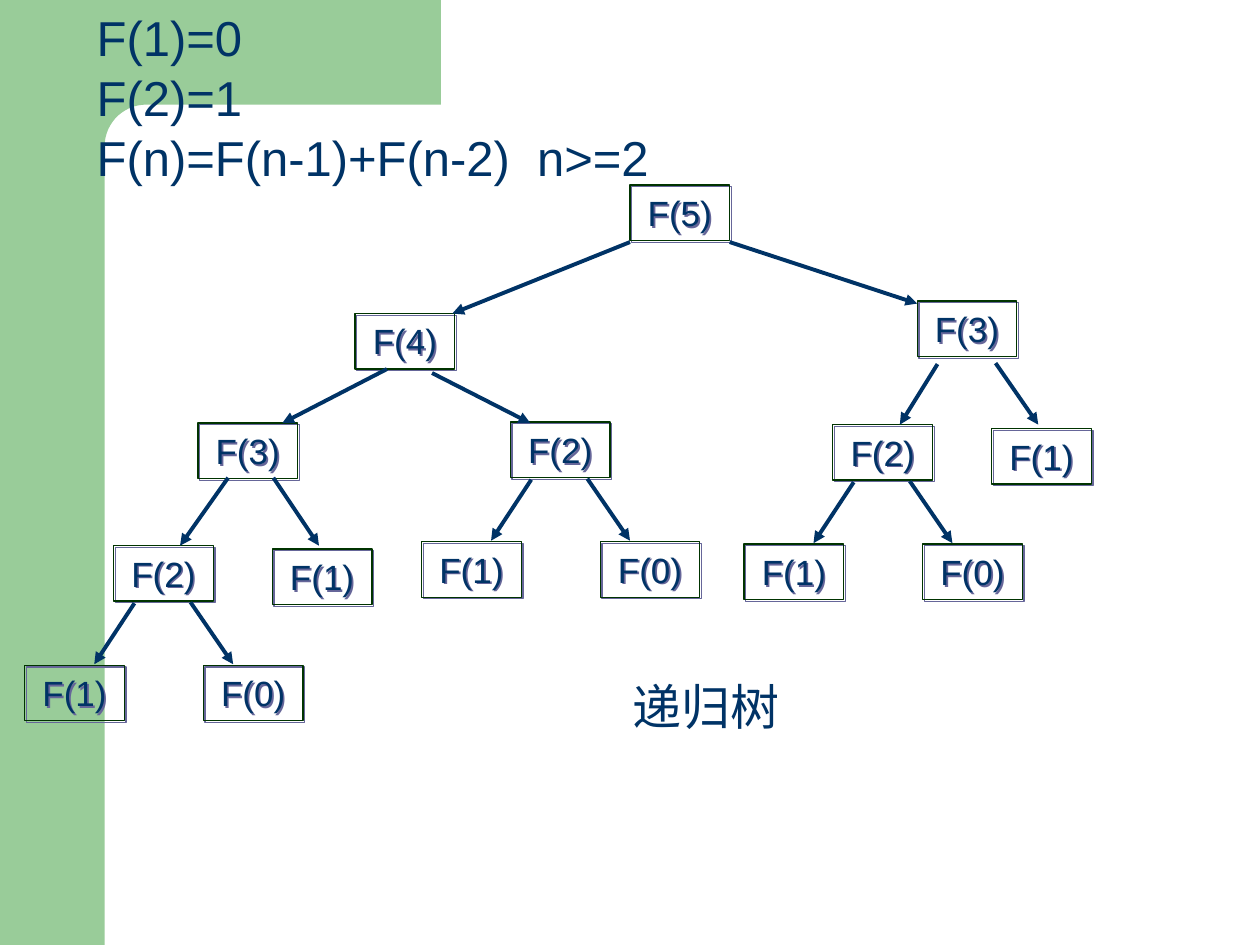
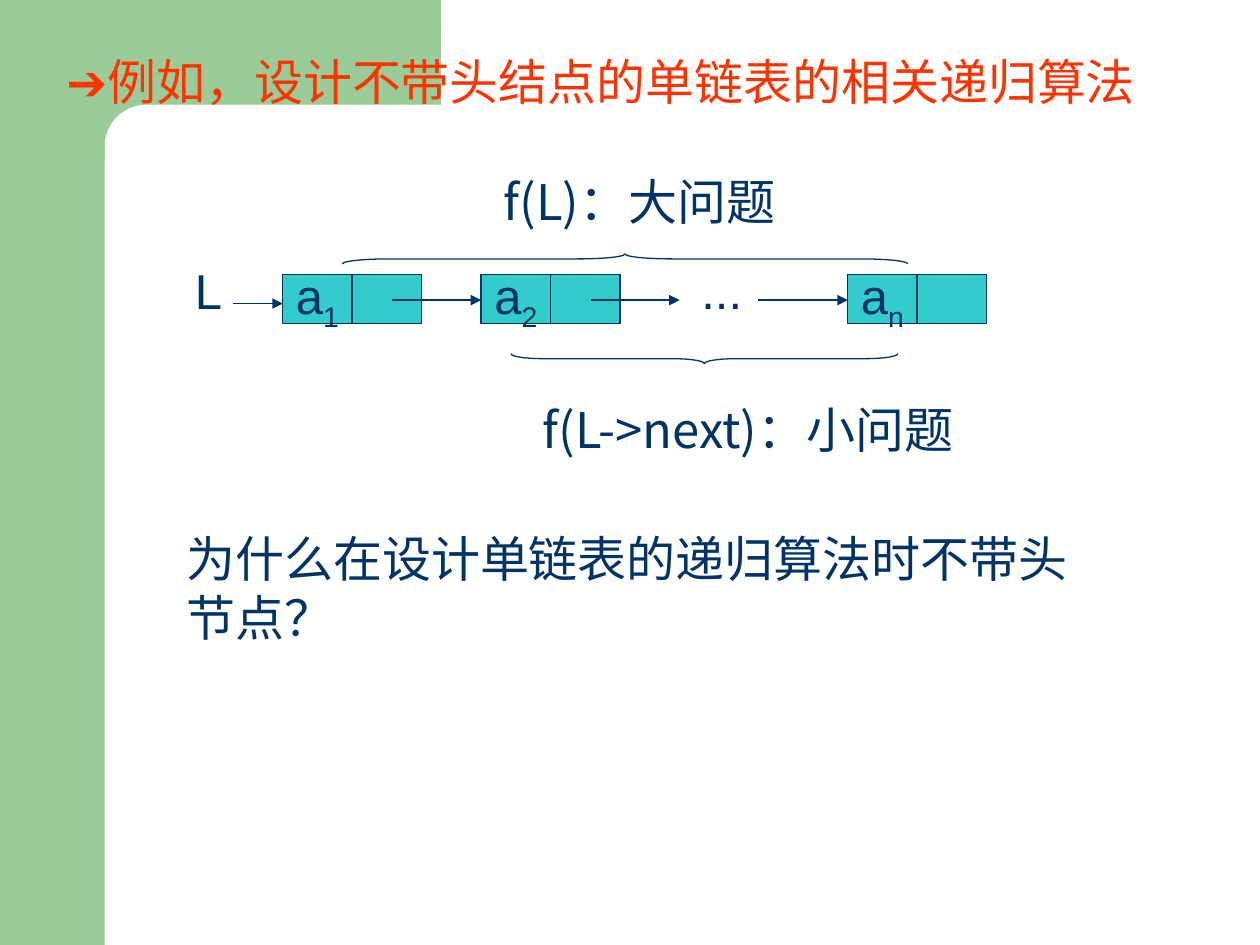
import math
from lxml import etree
from pptx import Presentation, util as u
from pptx.dml.color import RGBColor
from pptx.enum import shapes, text
from pptx.oxml import ns

GREEN = RGBColor(0x99, 0xCC, 0x99)
NAVY = RGBColor(0x00, 0x33, 0x66)
DARK_GREEN = RGBColor(0x00, 0x33, 0x00)
TEAL = RGBColor(0x33, 0xCC, 0xCC)
RED = RGBColor(0xFF, 0x33, 0x00)
SHADE = RGBColor(0x66, 0x66, 0x99)
LATIN, CJK = "Arial", "Noto Sans CJK SC"

FRAME = {"word_wrap": True, "vertical_anchor": text.MSO_ANCHOR.TOP,
         "margin_left": u.Cm(0.25), "margin_right": u.Cm(0.25),
         "margin_top": u.Cm(0.13), "margin_bottom": u.Cm(0.13)}
FONT = {"size": u.Pt(28), "name": LATIN}
PARAGRAPH = {"alignment": text.PP_ALIGN.LEFT, "space_before": u.Pt(17.5)}


def write(shape, lines, color=NAVY, subscript="", frame={}, font={}, paragraph={}):
    """Fill a shape with lines of text, the last one followed by a subscript."""
    box = shape.text_frame
    for key, value in {**FRAME, **frame}.items():
        setattr(box, key, value)
    for number, line in enumerate(lines):
        row = box.paragraphs[0] if number == 0 else box.add_paragraph()
        for key, value in {**PARAGRAPH, **paragraph}.items():
            setattr(row, key, value)
        for words in (line, subscript):
            if not words:
                continue
            run = row.add_run()
            run.text = words
            for key, value in {**FONT, **font}.items():
                setattr(run.font, key, value)
            run.font.color.rgb = color
            properties = run._r.get_or_add_rPr()
            etree.SubElement(properties, ns.qn("a:ea"), typeface=CJK)
            if words == subscript:
                properties.set("baseline", "-25000")


def arrow(slide, x1, y1, x2, y2, width):
    link = slide.shapes.add_connector(shapes.MSO_CONNECTOR.STRAIGHT,
                                      u.Cm(x1), u.Cm(y1), u.Cm(x2), u.Cm(y2))
    link.line.color.rgb = NAVY
    link.line.width = u.Pt(width)
    etree.SubElement(link.line._get_or_add_ln(), ns.qn("a:tailEnd"), type="triangle")
    etree.SubElement(link._element.spPr, ns.qn("a:effectLst"))


deck = Presentation()
deck.slide_width, deck.slide_height = u.Cm(25.4), u.Cm(19.05)
tree_slide, list_slide = [deck.slides.add_slide(deck.slide_layouts[6]) for _ in range(2)]

# Green side band and top band with a rounded inner corner
corner = [(2.95 - 0.84 * math.sin(math.radians(a)), 2.95 - 0.84 * math.cos(math.radians(a)))
          for a in range(0, 91, 6)]
outline = [(8.89, 0), (8.89, 2.11), *corner, (2.11, 3.25), (1.27, 3.25), (1.27, 0)]
outline = [(u.Cm(x), u.Cm(y)) for x, y in outline]
for slide in (tree_slide, list_slide):
    side_band = slide.shapes.add_shape(shapes.MSO_SHAPE.RECTANGLE, 0, 0,
                                       u.Cm(2.11), deck.slide_height)
    builder = slide.shapes.build_freeform(*outline[0])
    builder.add_line_segments(outline[1:], close=True)
    for band in (side_band, builder.convert_to_shape()):
        band.shadow.inherit = False
        band.fill.solid()
        band.fill.fore_color.rgb = GREEN
        band.line.fill.background()

# Text of both slides: slide, left, top, width, height, lines, colour, font, line spacing
for slide, left, top, width, height, lines, color, name, spacing in [
    (tree_slide, 1.7, 0.53, 19.41, 3.28,
     ["F(1)=0", "F(2)=1", "F(n)=F(n-1)+F(n-2)  n>=2"], NAVY, LATIN, 0.5),
    (tree_slide, 12.5, 13.51, 3.61, 1.45, ["递归树"], NAVY, LATIN, None),
    (list_slide, 1.09, 0.91, 23.01, 1.45,
     ["➔例如，设计不带头结点的单链表的相关递归算法"], RED, LATIN, None),
    (list_slide, 13.89, 5.13, 2.01, 1.45, ["..."], NAVY, LATIN, None),
    (list_slide, 3.68, 5.13, 1.4, 1.45, ["L"], NAVY, LATIN, None),
    (list_slide, 9.91, 3.33, 7.16, 1.45, ["f(L)：大问题"], NAVY, CJK, None),
    (list_slide, 10.69, 7.92, 10.13, 2.64, ["f(L->next)：小问题"], NAVY, CJK, None),
    (list_slide, 3.51, 10.52, 18.59, 2.64,
     ["为什么在设计单链表的递归算法时不带头节点？"], NAVY, LATIN, None),
]:
    label = slide.shapes.add_textbox(u.Cm(left), u.Cm(top), u.Cm(width), u.Cm(height))
    write(label, lines, color, font={"name": name}, paragraph={"line_spacing": spacing})

# Recursion tree: upper calls, then the two children below every F(2) that expands
calls = [("F(5)", 12.7, 3.73), ("F(4)", 7.16, 6.32), ("F(3)", 3.99, 8.53),
         ("F(3)", 18.49, 6.07), ("F(1)", 5.49, 11.07), ("F(1)", 19.99, 8.64)]
branches = [(12.7, 4.88, 9.12, 6.32), (14.71, 4.88, 18.49, 6.12),
            (7.8, 7.44, 5.69, 8.53), (8.71, 7.52, 10.69, 8.53),
            (4.6, 9.63, 3.63, 11), (5.51, 9.63, 6.43, 11),
            (18.9, 7.34, 18.14, 8.56), (20.07, 7.32, 20.93, 8.56)]
for x, y in [(2.29, 11), (10.29, 8.51), (16.79, 8.56)]:
    calls += [("F(2)", x, y), ("F(1)", x - 1.79, y + 2.41), ("F(0)", x + 1.81, y + 2.41)]
    branches += [(x + 0.42, y + 1.16, x - 0.39, y + 2.39),
                 (x + 1.55, y + 1.14, x + 2.41, y + 2.39)]

for name, x, y in calls:
    call = tree_slide.shapes.add_shape(shapes.MSO_SHAPE.RECTANGLE,
                                       u.Cm(x), u.Cm(y), u.Cm(2.01), u.Cm(1.12))
    call.fill.background()
    call.line.color.rgb = DARK_GREEN
    call.line.width = u.Pt(0.75)
    call.shadow.inherit = False
    effects = call._element.spPr.find(ns.qn("a:effectLst"))
    shadow = etree.SubElement(effects, ns.qn("a:outerShdw"), dist=str(u.Pt(1.4)),
                              dir="2700000", algn="ctr", rotWithShape="0")
    etree.SubElement(shadow, ns.qn("a:srgbClr"), val=str(SHADE))
    write(call, [name], font={"size": u.Pt(20)},
          paragraph={"alignment": text.PP_ALIGN.CENTER, "space_before": u.Pt(12.5)})
for branch in branches:
    arrow(tree_slide, *branch, 2.25)

# Linked list: each node is a data cell and a pointer cell
CELL = 1.4
for index, x in [("1", 5.7), ("2", 9.7), ("n", 17.09)]:
    for part in range(2):
        cell = list_slide.shapes.add_shape(shapes.MSO_SHAPE.RECTANGLE, u.Cm(x + part * CELL),
                                           u.Cm(5.54), u.Cm(CELL), u.Cm(0.99))
        cell.shadow.inherit = False
        cell.fill.solid()
        cell.fill.fore_color.rgb = TEAL
        cell.line.color.rgb = NAVY
        cell.line.width = u.Pt(0.75)
        if part == 0:
            write(cell, ["a"], subscript=index,
                  frame={"word_wrap": False, "vertical_anchor": text.MSO_ANCHOR.MIDDLE},
                  paragraph={"alignment": text.PP_ALIGN.CENTER, "space_before": u.Pt(0)})
for start, end, y in [(7.9, 9.7, 6.05), (11.91, 13.7, 6.05), (15.29, 17.09, 6.05),
                      (4.7, 5.7, 6.12)]:
    arrow(list_slide, start, y, end, y, 0.75)

# Braces over the whole list and under its tail
THICK = 0.2
for left, top, span, turn in [(12.5, -0.48, 11.4, 90), (14.1, 3.33, 7.8, 270)]:
    brace = list_slide.shapes.add_shape(shapes.MSO_SHAPE.LEFT_BRACE, u.Cm(left), u.Cm(top),
                                        u.Cm(THICK), u.Cm(span))
    brace.adjustments[0] = span / THICK / 12
    brace.rotation = turn
    brace.shadow.inherit = False
    brace.fill.background()
    brace.line.color.rgb = NAVY
    brace.line.width = u.Pt(0.75)

deck.save("out.pptx")
